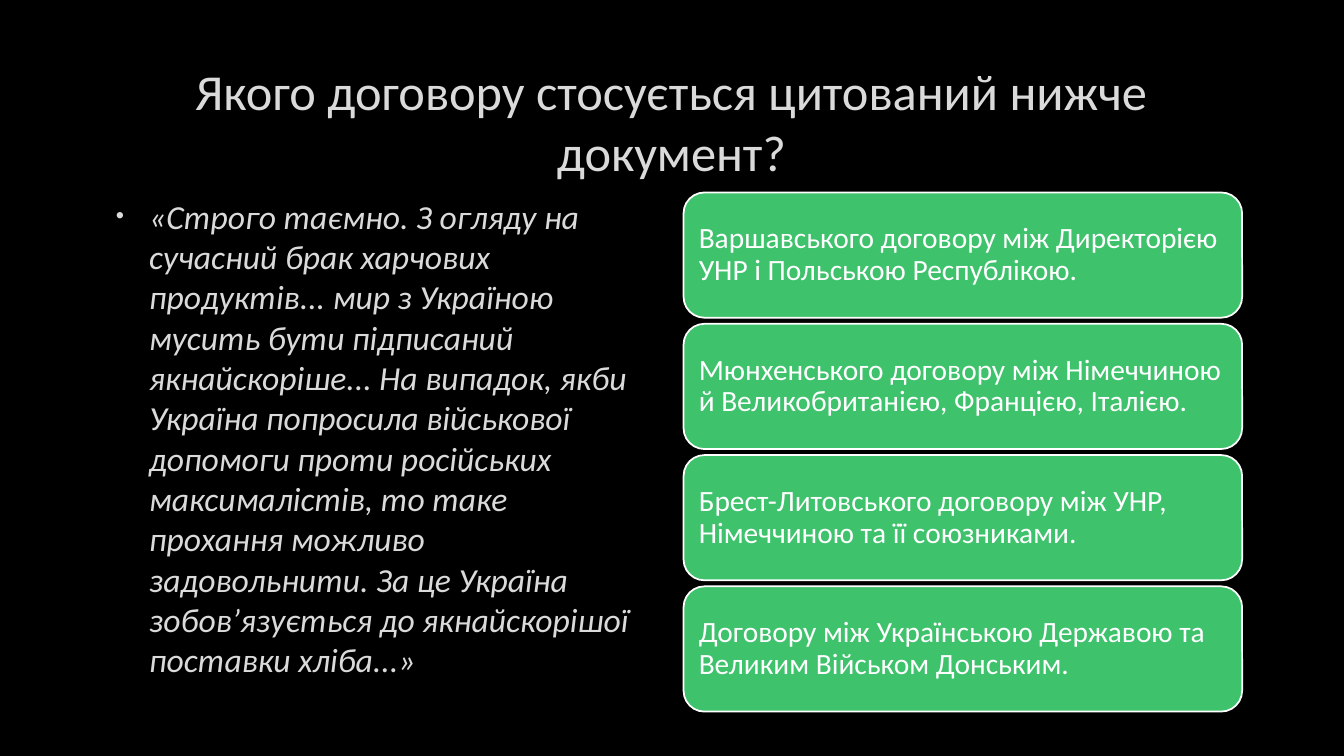
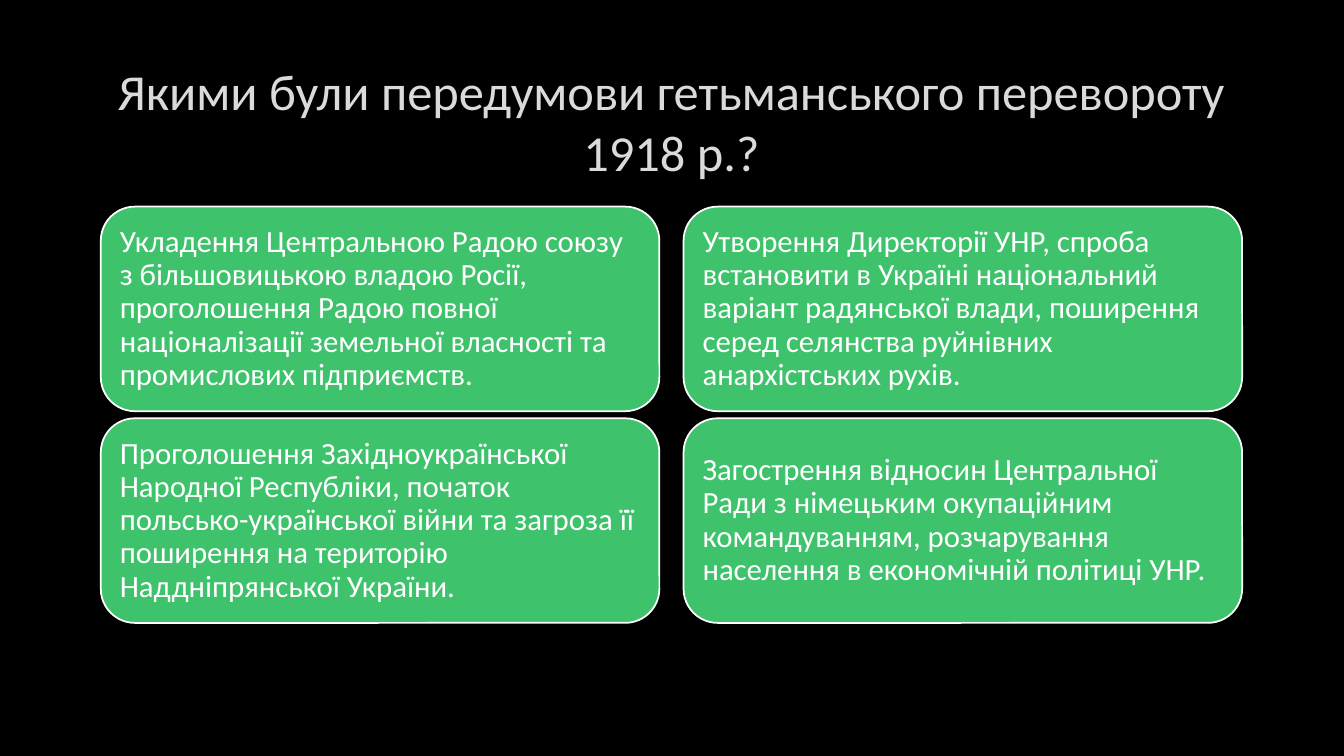
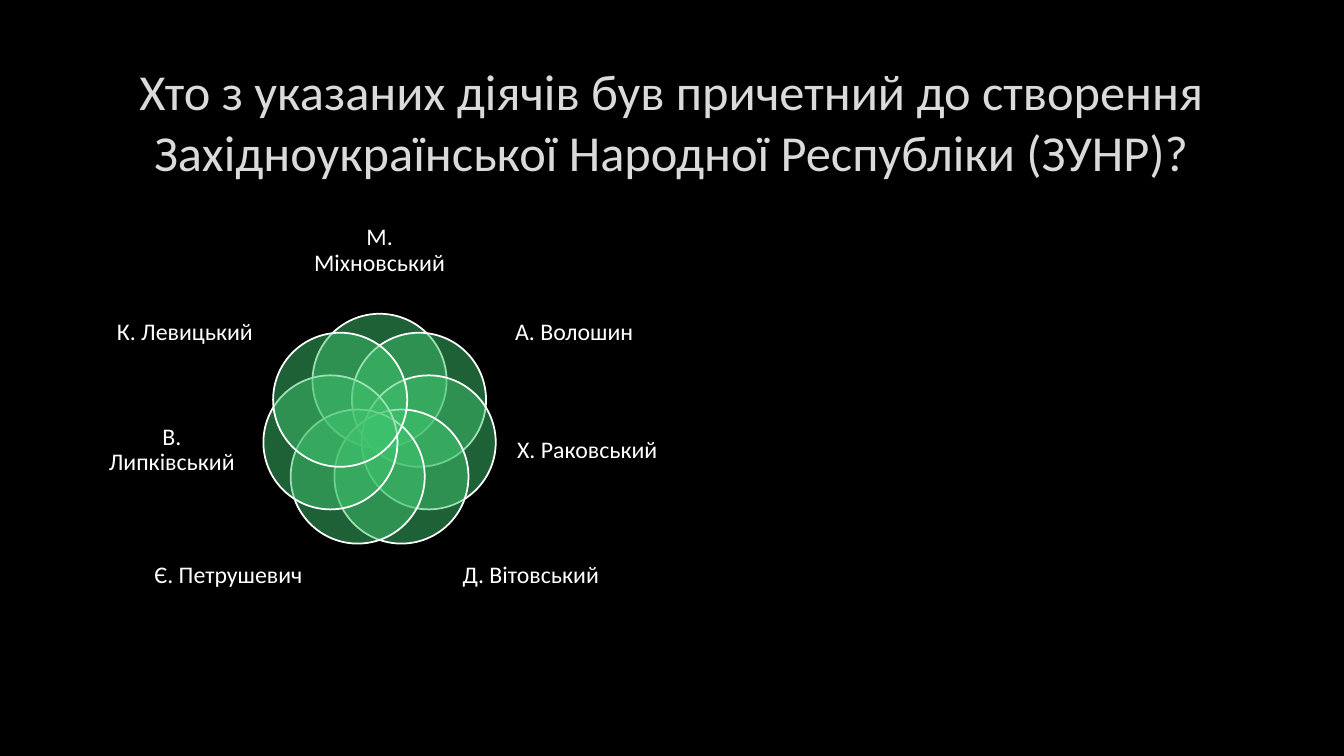
from math import cos, pi, sin

from lxml import etree
from pptx import Presentation
from pptx.dml.color import RGBColor
from pptx.enum import shapes, text
from pptx.oxml import ns
from pptx.util import Inches, Pt

BLACK = RGBColor(0x00, 0x00, 0x00)
WHITE = RGBColor(0xFF, 0xFF, 0xFF)
SILVER = RGBColor(0xDA, 0xDA, 0xDA)
GREEN = RGBColor(0x3E, 0xC2, 0x6C)
FONT = "Calibri"
TITLE_BOX = (1, 0.67, 11.32, 1.06)
TITLE_ONLY, TITLE_AND_CONTENT = 5, 1
SIDES = ("left", "top", "right", "bottom")
MIDDLE = {"word_wrap": True, "vertical_anchor": text.MSO_ANCHOR.MIDDLE}


def set_all(target, values):
    """Set each named attribute of the target."""
    for name, value in values.items():
        setattr(target, name, value)


def add_child(parent, tag, **attributes):
    """Append a drawing element to the parent."""
    return etree.SubElement(parent, ns.qn(tag), attributes)


def place(shape, box):
    """Move a shape to a box given in inches."""
    names = ("left", "top", "width", "height")
    set_all(shape, dict(zip(names, map(Inches, box))))


def write(frame, words, size, color, align, italic=None, line_spacing=None):
    """Write one formatted paragraph into a text frame."""
    para = frame.paragraphs[0]
    set_all(para, {"alignment": align, "space_before": Pt(0),
                   "line_spacing": line_spacing})
    span = para.add_run()
    span.text = words
    set_all(span.font, {"name": FONT, "size": Pt(size), "italic": italic})
    span.font.color.rgb = color
    return para


def set_margins(frame, inches):
    """Give a text frame the same margin on all sides."""
    set_all(frame, {f"margin_{side}": Inches(inches) for side in SIDES})


def add_page(deck, layout, title):
    """Add a slide with the shared title style."""
    page = deck.slides.add_slide(deck.slide_layouts[layout])
    place(page.shapes.title, TITLE_BOX)
    frame = page.shapes.title.text_frame
    set_all(frame, MIDDLE | {"auto_size": text.MSO_AUTO_SIZE.NONE})
    write(frame, title, 36, SILVER, text.PP_ALIGN.CENTER)
    return page


def add_green(page, kind, box):
    """Add a green shape with a white outline."""
    shape = page.shapes.add_shape(kind, *map(Inches, box))
    shape.shadow.inherit = False
    shape.fill.solid()
    shape.fill.fore_color.rgb = GREEN
    shape.line.color.rgb = WHITE
    shape.line.width = Pt(1.25)
    return shape


def add_quote(page, box, words):
    """Fill the body placeholder with a bulleted quotation."""
    body = page.placeholders[1]
    place(body, box)
    frame = body.text_frame
    set_all(frame, {"word_wrap": True, "auto_size": text.MSO_AUTO_SIZE.NONE})
    props = frame.paragraphs[0]._p.get_or_add_pPr()
    props.set("marL", str(Inches(0.38)))
    props.set("indent", str(Inches(-0.33)))
    add_child(add_child(props, "a:buClr"), "a:srgbClr", val=str(SILVER))
    add_child(props, "a:buSzPct", val="70000")
    add_child(props, "a:buFont", typeface="Arial")
    add_child(props, "a:buChar", char="•")
    para = write(frame, words, 24, SILVER, text.PP_ALIGN.LEFT, italic=True)
    para.space_after = Pt(6)


def add_cards(page, box, answers, size, gap):
    """Stack equal answer cards inside the box."""
    left, top, width, height = box
    card_height = (height - gap * (len(answers) - 1)) / len(answers)
    for row, answer in enumerate(answers):
        card_top = top + row * (card_height + gap)
        card = add_green(page, shapes.MSO_SHAPE.ROUNDED_RECTANGLE,
                         (left, card_top, width, card_height))
        set_all(card.text_frame, MIDDLE)
        set_margins(card.text_frame, 0.09)
        write(card.text_frame, answer, size, WHITE, text.PP_ALIGN.LEFT,
              line_spacing=0.9)


def add_venn(page, box, labels):
    """Draw a ring of translucent circles, each with its outer label."""
    left, top, width, height = box
    center_x, center_y = left + width / 2, top + height * 0.54
    ring, diameter = 0.5, 1.33
    for index, (name, dx, dy, label_width, label_height) in enumerate(labels):
        angle = 2 * pi * index / len(labels)
        circle = add_green(page, shapes.MSO_SHAPE.OVAL, (
            center_x + ring * sin(angle) - diameter / 2,
            center_y - ring * cos(angle) - diameter / 2, diameter, diameter))
        tint = circle._element.spPr.find(ns.qn("a:solidFill"))[0]
        add_child(tint, "a:alpha", val="50000")
        label = page.shapes.add_textbox(
            Inches(center_x + dx - label_width / 2),
            Inches(center_y + dy - label_height / 2),
            Inches(label_width), Inches(label_height))
        set_all(label.text_frame, MIDDLE)
        set_margins(label.text_frame, 0)
        write(label.text_frame, name, 17, WHITE, text.PP_ALIGN.CENTER,
              line_spacing=0.9)


def build_treaty(deck):
    """Build the slide with the quoted document and four treaties."""
    page = add_page(deck, TITLE_AND_CONTENT,
                    "Якого договору стосується цитований нижче документ?")
    add_quote(page, (1, 1.89, 5.53, 4.44),
              "«Строго таємно. З огляду на сучасний брак харчових продуктів... "
              "мир з Україною мусить бути підписаний якнайскоріше... "
              "На випадок, якби Україна попросила військової допомоги проти "
              "російських максималістів, то таке прохання можливо задовольнити. "
              "За це Україна зобов’язується до якнайскорішої поставки хліба...»")
    add_cards(page, (6.78, 1.91, 5.54, 5.15), (
        "Варшавського договору між Директорією УНР і Польською Республікою.",
        "Мюнхенського договору між Німеччиною й Великобританією, Францією, "
        "Італією.",
        "Брест-Литовського договору між УНР, Німеччиною та її союзниками.",
        "Договору між Українською Державою та Великим Військом Донським.",
    ), 21, 0.06)


def build_coup(deck):
    """Build the slide with two columns of preconditions."""
    page = add_page(deck, TITLE_ONLY,
                    "Якими були передумови гетьманського перевороту 1918 р.?")
    columns = {
        1: ("Укладення Центральною Радою союзу з більшовицькою владою Росії, "
            "проголошення Радою повної націоналізації земельної власності та "
            "промислових підприємств.",
            "Проголошення Західноукраїнської Народної Республіки, початок "
            "польсько-української війни та загроза її поширення на територію "
            "Наддніпрянської України."),
        6.78: ("Утворення Директорії УНР, спроба встановити в Україні "
               "національний варіант радянської влади, поширення серед "
               "селянства руйнівних анархістських рухів.",
               "Загострення відносин Центральної Ради з німецьким окупаційним "
               "командуванням, розчарування населення в економічній політиці "
               "УНР."),
    }
    for left, answers in columns.items():
        add_cards(page, (left, 2.05, 5.54, 4.13), answers, 22, 0.07)


def build_figures(deck):
    """Build the slide with the ring of seven public figures."""
    page = add_page(deck, TITLE_ONLY,
                    "Хто з указаних діячів був причетний до створення "
                    "Західноукраїнської Народної Республіки (ЗУНР)?")
    add_venn(page, (1, 2.08, 5.53, 4.07), (
        ("М. Міхновський", 0, -1.79, 1.52, 0.81),
        ("А. Волошин", 1.93, -0.98, 1.44, 0.9),
        ("Х. Раковський", 2.06, 0.19, 1.41, 0.96),
        ("Д. Вітовський", 1.5, 1.43, 1.52, 0.88),
        ("Є. Петрушевич", -1.5, 1.43, 1.52, 0.88),
        ("В. Липківський", -2.06, 0.19, 1.41, 0.96),
        ("К. Левицький", -1.93, -0.98, 1.44, 0.9),
    ))


def main():
    """Build and save the deck."""
    deck = Presentation()
    set_all(deck, {"slide_width": Inches(13.33), "slide_height": Inches(7.5)})
    backdrop = deck.slide_master.background.fill
    backdrop.solid()
    backdrop.fore_color.rgb = BLACK
    for build in (build_treaty, build_coup, build_figures):
        build(deck)
    deck.save("out.pptx")


if __name__ == "__main__":
    main()
